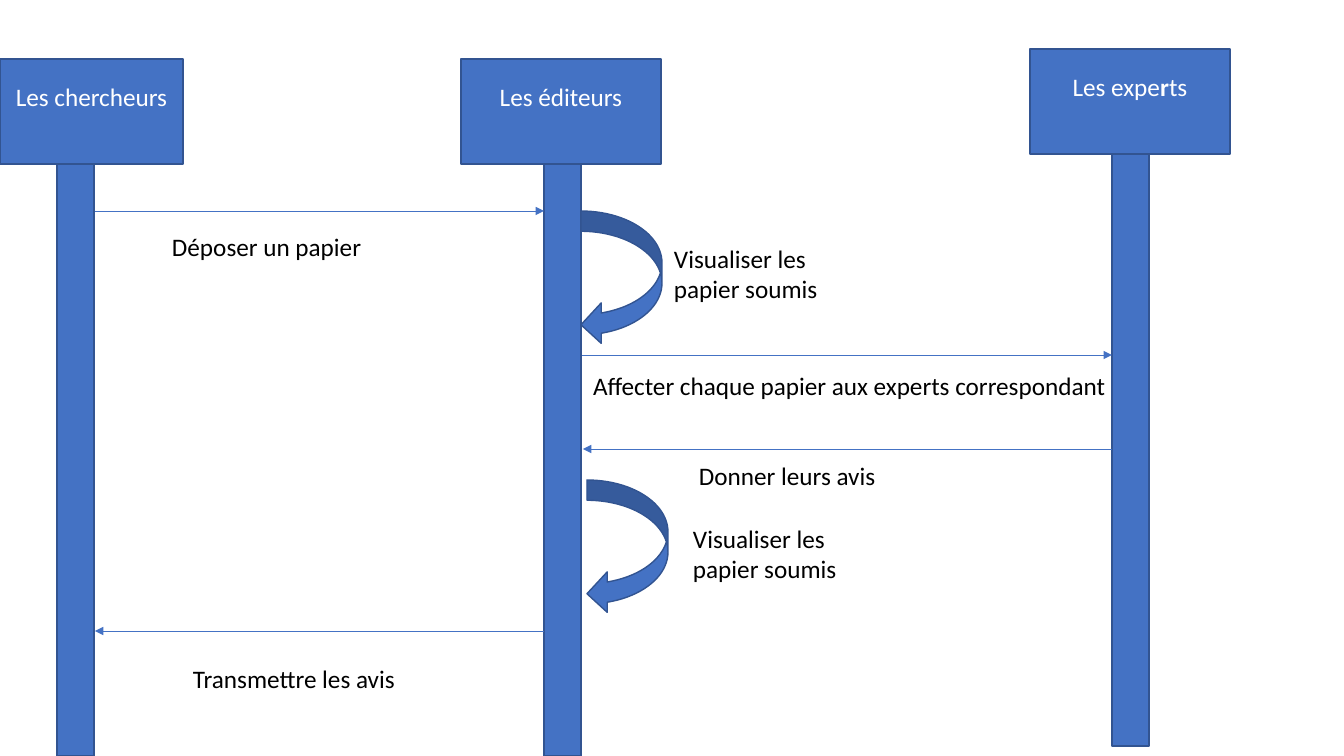
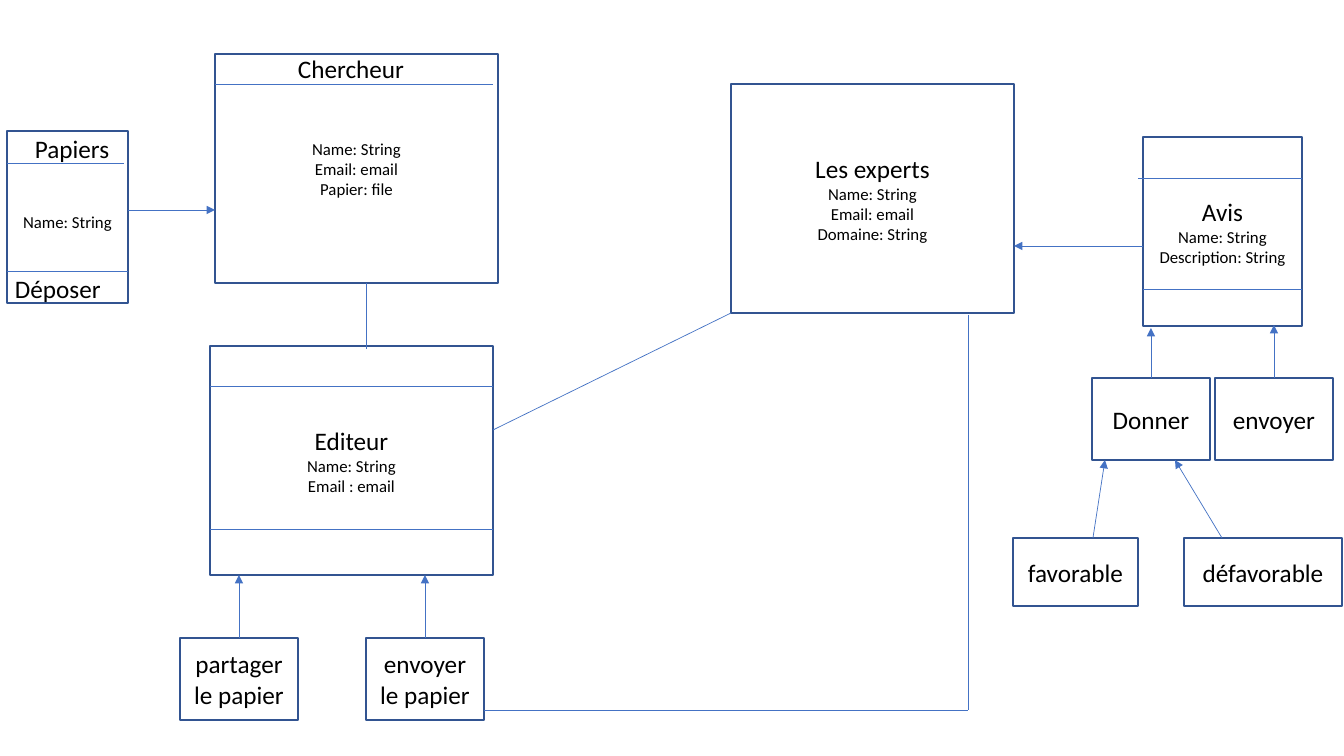
from lxml.etree import SubElement
from pptx import Presentation
from pptx.dml.color import RGBColor
from pptx.enum.shapes import MSO_CONNECTOR as Connector, MSO_SHAPE as Shape
from pptx.enum.text import MSO_ANCHOR as Anchor, MSO_AUTO_SIZE as AutoSize, PP_ALIGN as Align
from pptx.oxml.ns import qn
from pptx.util import Emu, Pt

FONT = "Calibri"
BLUE, OUTLINE, WHITE, BLACK = "4472C4", "325491", "FFFFFF", "000000"
NAME_SIZE, DETAIL_SIZE = 18, 12
INSET = 10
HEADER_HEIGHT, BAR_WIDTH, BAR_HEIGHT = 105, 37, 592
CLASS_WIDTH, CLASS_HEIGHT = 283, 229
METHOD_WIDTH, METHOD_HEIGHT = 118, 82


def px(length):
    """Turn pixels into EMU."""
    return Emu(round(length * 914400 / 100.8))


def rgb(value):
    """Turn a hex string into a colour."""
    return RGBColor.from_string(value)


def write(shape, lines, color=BLACK, align=Align.CENTER, anchor=Anchor.MIDDLE,
          wrap=True, inset_top=5, inset_bottom=5):
    """Fill a shape with (text, size) lines; asterisks enclose bold parts."""
    frame = shape.text_frame
    frame.word_wrap = wrap
    frame.vertical_anchor = anchor
    frame.margin_left = frame.margin_right = px(INSET)
    frame.margin_top, frame.margin_bottom = px(inset_top), px(inset_bottom)
    for index, (text, size) in enumerate(lines):
        paragraph = frame.add_paragraph() if index else frame.paragraphs[0]
        paragraph.alignment = align
        for position, part in enumerate(text.split("*")):
            run = paragraph.add_run()
            run.text = part
            run.font.name, run.font.size = FONT, Pt(size)
            run.font.bold = position % 2 == 1
            run.font.color.rgb = rgb(color)


def add_figure(slide, left, top, width, height, fill=BLUE, kind=Shape.RECTANGLE):
    """Add an outlined preset shape."""
    shape = slide.shapes.add_shape(kind, px(left), px(top), px(width), px(height))
    shape.shadow.inherit = False
    shape.fill.solid()
    shape.fill.fore_color.rgb = rgb(fill)
    shape.line.color.rgb = rgb(OUTLINE)
    shape.line.width = Pt(1)
    return shape


def add_line(slide, start_x, start_y, end_x, end_y, arrow=False):
    """Add a thin line, with an arrowhead at its end on request."""
    line = slide.shapes.add_connector(
        Connector.STRAIGHT, px(start_x), px(start_y), px(end_x), px(end_y))
    line.line.color.rgb = rgb(BLUE)
    line.line.width = Pt(0.5)
    if arrow:
        SubElement(line.line._get_or_add_ln(), qn("a:tailEnd"), type="triangle")
    SubElement(line._element.spPr, qn("a:effectLst"))


def add_label(slide, text, left, top, width, height=40, wrap=False):
    """Add a left-aligned label."""
    label = slide.shapes.add_textbox(px(left), px(top), px(width), px(height))
    write(label, [(text, NAME_SIZE)], align=Align.LEFT, anchor=Anchor.TOP, wrap=wrap)
    label.text_frame.auto_size = AutoSize.SHAPE_TO_FIT_TEXT


def add_participant(slide, name, left, top, width, bar_left):
    """Add a participant header and its lifeline bar."""
    header = add_figure(slide, left, top, width, HEADER_HEIGHT)
    write(header, [(name, NAME_SIZE)], color=WHITE, inset_bottom=35)
    add_figure(slide, bar_left, top + HEADER_HEIGHT, BAR_WIDTH, BAR_HEIGHT)


def add_self_message(slide, left, top, label_left, label_top):
    """Add a curved arrow that returns to the editors, with its label."""
    add_figure(slide, left, top, 81, 134, kind=Shape.CURVED_LEFT_ARROW)
    add_label(slide, "Visualiser les papier soumis", label_left, label_top, 175, 71, wrap=True)


def add_class(slide, left, top, width, height, name="", details=(), **layout):
    """Add a white box with a name and its attributes."""
    box = add_figure(slide, left, top, width, height, fill=WHITE)
    lines = [(name, NAME_SIZE)] if name else []
    write(box, lines + [(detail, DETAIL_SIZE) for detail in details], **layout)


def build_sequence(slide):
    """Draw the sequence diagram."""
    for participant in (
        ("Les chercheurs", 0, 59, 183, 57),
        ("Les éditeurs", 461, 59, 200, 544),
        ("Les expe*r*ts", 1030, 49, 200, 1112),
    ):
        add_participant(slide, *participant)
    for text, start, end, line_top, left, top, width in (
        ("Déposer un papier", 95, 544, 211, 162, 226, 211),
        ("Affecter chaque papier aux experts correspondant", 582, 1112, 355, 583, 365, 533),
        ("Donner leurs avis", 1112, 583, 449, 689, 455, 199),
        ("Transmettre les avis", 544, 95, 631, 183, 658, 224),
    ):
        add_line(slide, start, line_top, end, line_top, arrow=True)
        add_label(slide, text, left, top, width)
    add_self_message(slide, 581, 211, 664, 238)
    add_self_message(slide, 587, 480, 683, 518)


def build_classes(slide):
    """Draw the class diagram."""
    name, email = "Name: String", "Email: email"
    add_class(slide, 7, 131, 121, 172, details=[name], inset_top=15)
    add_class(slide, 1143, 137, 159, 189, "Avis", [name, "Description: String"])
    for left, top, title, details in (
        (215, 54, "", [name, email, "Papier: file"]),
        (731, 84, "Les experts", [name, email, "Domaine: String"]),
        (210, 346, "Editeur", [name, "Email : email"]),
    ):
        add_class(slide, left, top, CLASS_WIDTH, CLASS_HEIGHT, title, details)
    for title, left, top in (
        ("partager le papier", 180, 638),
        ("envoyer le papier", 366, 638),
        ("Donner", 1092, 378),
        ("envoyer", 1215, 378),
    ):
        add_class(slide, left, top, METHOD_WIDTH, METHOD_HEIGHT, title)
    for title, left, width in (("favorable", 1013, 125), ("défavorable", 1184, 158)):
        add_class(slide, left, 538, width, 68, title)

    for left, right, height in (
        (215, 493, 84), (7, 124, 163), (7, 128, 271), (210, 493, 386),
        (210, 493, 529), (1138, 1302, 178), (1143, 1302, 289),
    ):
        add_line(slide, left, height, right, height)
    for link in (
        (366, 283, 366, 349), (731, 313, 493, 430),
        (968, 315, 968, 710), (484, 710, 968, 710),
    ):
        add_line(slide, *link)
    for arrow in (
        (128, 210, 215, 210), (1143, 246, 1014, 246),
        (239, 638, 239, 575), (425, 638, 425, 575),
        (1151, 378, 1151, 328), (1274, 378, 1274, 325),
        (1093, 538, 1105, 460), (1222, 538, 1175, 460),
    ):
        add_line(slide, *arrow, arrow=True)

    add_label(slide, "Chercheur", 288, 48, 128)
    add_label(slide, "Papiers", 25, 128, 95)
    add_label(slide, "Déposer", 5, 268, 120, wrap=True)


def main():
    """Build both diagrams and save them."""
    presentation = Presentation()
    presentation.slide_width, presentation.slide_height = px(1344), px(756)
    for build in (build_sequence, build_classes):
        build(presentation.slides.add_slide(presentation.slide_layouts[6]))
    presentation.save("out.pptx")


main()
